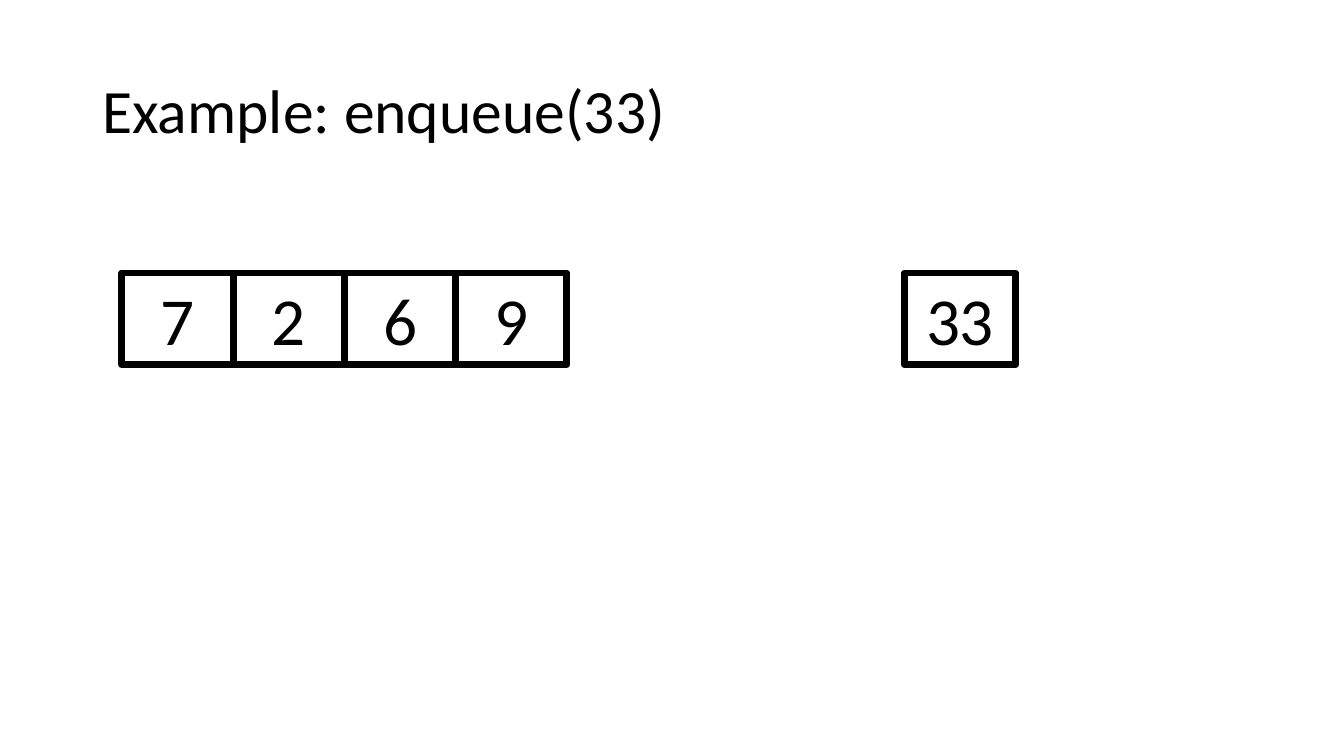
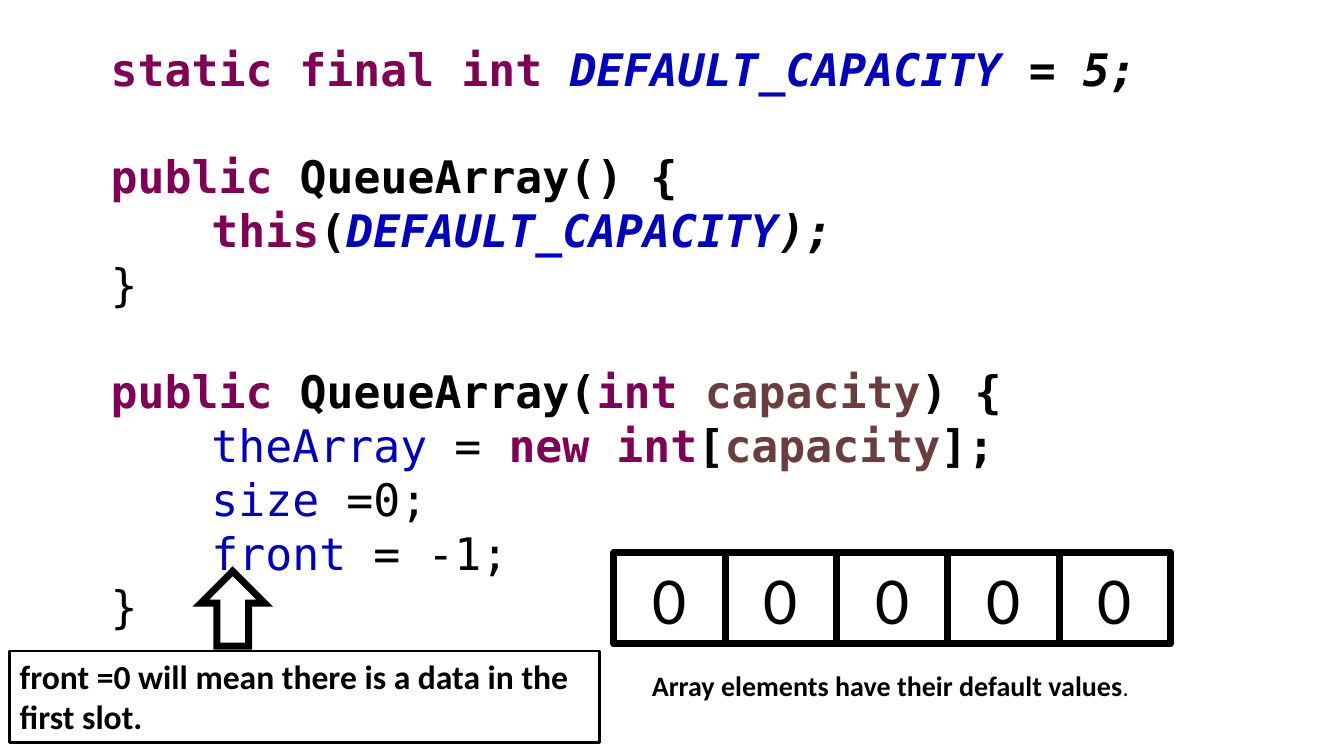
from pptx import Presentation
from pptx import util as u
from pptx.dml.color import RGBColor
from pptx.enum import shapes, text
from pptx.oxml.ns import qn
from lxml import etree

Pt = u.Pt
BODY, MONO = "Calibri", "DejaVu Sans Mono"
BLACK, KEYWORD, FIELD, PARAM = "000000", "7F0055", "0000C0", "6A3E3E"
CELL_W, CELL_H = 79.5, 65.5
CODE_SIZE, CODE_PITCH, CODE_INDENT = 32, 38.4, 72

# Each line of code: indent level, blank line before it, runs of
# (text, colour, bold, italic).
CODE = [
    (1, False, [("static final int ", KEYWORD, True, False),
                ("DEFAULT_CAPACITY", FIELD, True, True),
                (" = 5;", BLACK, True, True)]),
    (1, True, [("public ", KEYWORD, True, False),
               ("QueueArray() {", BLACK, True, False)]),
    (2, False, [("this", KEYWORD, True, False),
                ("(", BLACK, True, False),
                ("DEFAULT_CAPACITY", FIELD, True, True),
                (");", BLACK, True, True)]),
    (1, False, [("}", BLACK, False, False)]),
    (1, True, [("public ", KEYWORD, True, False),
               ("QueueArray(", BLACK, True, False),
               ("int ", KEYWORD, True, False),
               ("capacity", PARAM, True, False),
               (") {", BLACK, True, False)]),
    (2, False, [("theArray", FIELD, False, False),
                (" = ", BLACK, False, False),
                ("new int", KEYWORD, True, False),
                ("[", BLACK, True, False),
                ("capacity", PARAM, True, False),
                ("];", BLACK, True, False)]),
    (2, False, [("size", FIELD, False, False),
                (" =0;", BLACK, False, False)]),
    (2, False, [("front", FIELD, False, False),
                (" = -1;", BLACK, False, False)]),
    (1, False, [("}", BLACK, False, False)]),
]


def rgb(value):
    """Turn a hex string into a colour."""
    return RGBColor.from_string(value)


def add_run(p, content, *, size, font=BODY, color=BLACK, bold=False, italic=False):
    """Add a formatted run to a paragraph."""
    r = p.add_run()
    r.text = content
    r.font.name = font
    r.font.size = Pt(size)
    r.font.bold = bold
    r.font.italic = italic
    r.font.color.rgb = rgb(color)


def add_textbox(slide, x, y, w, h, anchor=text.MSO_ANCHOR.TOP):
    """Add a wrapping text box and return its text frame."""
    tf = slide.shapes.add_textbox(Pt(x), Pt(y), Pt(w), Pt(h)).text_frame
    tf.word_wrap = True
    tf.vertical_anchor = anchor
    return tf


def add_title(slide, content):
    """Add the slide title."""
    tf = add_textbox(slide, 66, 28.75, 828, 104.4, text.MSO_ANCHOR.MIDDLE)
    p = tf.paragraphs[0]
    p.line_spacing = 0.9
    add_run(p, content, size=44)


def add_outline(slide, kind, x, y, w, h, line):
    """Add an unfilled shape with a black outline."""
    sp = slide.shapes.add_shape(kind, Pt(x), Pt(y), Pt(w), Pt(h))
    sp.shadow.inherit = False
    sp.fill.background()
    sp.line.color.rgb = rgb(BLACK)
    sp.line.width = Pt(line)
    return sp


def add_box(slide, content, x, y, w, h, line, align, **fmt):
    """Add an outlined rectangle with text."""
    sp = add_outline(slide, shapes.MSO_SHAPE.RECTANGLE, x, y, w, h, line)
    tf = sp.text_frame
    tf.word_wrap = True
    tf.vertical_anchor = text.MSO_ANCHOR.TOP
    p = tf.paragraphs[0]
    p.alignment = align
    add_run(p, content, **fmt)


def add_array(slide, values, x, y):
    """Add a row of adjoining array cells."""
    for i, value in enumerate(values):
        add_box(slide, str(value), x + i * CELL_W, y, CELL_W, CELL_H, 5,
                text.PP_ALIGN.CENTER, size=48)


def add_up_arrow(slide, x, y, w, h):
    """Add a right arrow turned to point up, with sharp corners."""
    sp = add_outline(slide, shapes.MSO_SHAPE.RIGHT_ARROW, x, y, w, h, 5)
    sp.rotation = 270
    ln = sp.line._get_or_add_ln()
    etree.SubElement(ln, qn("a:miter")).set("lim", "800000")


def add_code(slide, lines, x, y, w, h):
    """Add indented, coloured lines of code."""
    tf = add_textbox(slide, x, y, w, h)
    for i, (level, gap, runs) in enumerate(lines):
        p = tf.add_paragraph() if i else tf.paragraphs[0]
        p.line_spacing = Pt(CODE_PITCH)
        p.space_before = Pt(CODE_PITCH if gap else 0)
        pPr = p._p.get_or_add_pPr()
        pPr.set("marL", str(Pt(level * CODE_INDENT)))
        pPr.set("indent", "0")
        for content, color, bold, italic in runs:
            add_run(p, content, size=CODE_SIZE, font=MONO, color=color,
                    bold=bold, italic=italic)


def build_enqueue(slide):
    """Show a queue and the value about to join it."""
    add_title(slide, "Example: enqueue(33)")
    add_array(slide, [7, 2, 6, 9], 87, 195)
    add_array(slide, [33], 646, 195)


def build_constructors(slide):
    """Show the constructors and the array they create."""
    add_code(slide, CODE, 0, 26, 914.5, 433.5)
    add_array(slide, [0] * 5, 438.5, 394.5)
    p = add_textbox(slide, 458.5, 473.75, 378, 31.5).paragraphs[0]
    add_run(p, "Array elements have their default values", size=20, bold=True)
    add_run(p, ".", size=18)
    add_box(slide, "front =0 will mean there is a data in the first slot.",
            7, 465, 421.5, 65.5, 2, text.PP_ALIGN.LEFT, size=24, bold=True)
    add_up_arrow(slide, 139.5, 412, 53.5, 45.5)


def main():
    """Build and save the presentation."""
    prs = Presentation()
    prs.slide_width, prs.slide_height = Pt(960), Pt(540)
    for build in (build_enqueue, build_constructors):
        build(prs.slides.add_slide(prs.slide_layouts[6]))
    prs.save("out.pptx")


main()
